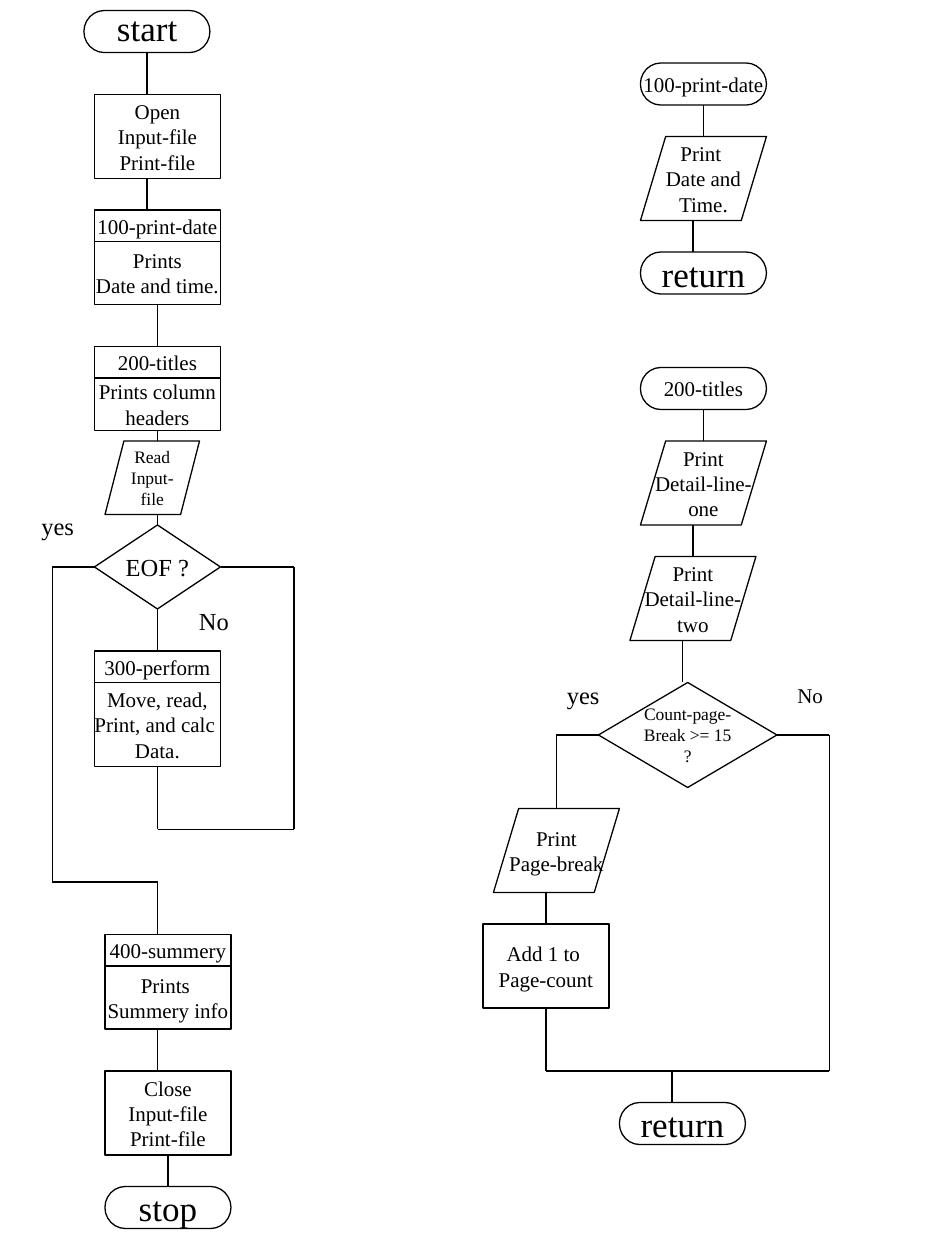
from itertools import pairwise

from pptx import Presentation
from pptx.dml.color import RGBColor
from pptx.enum.shapes import MSO_CONNECTOR, MSO_SHAPE
from pptx.enum.text import MSO_ANCHOR, MSO_AUTO_SIZE, PP_ALIGN
from pptx.oxml.ns import qn
from pptx.util import Inches, Pt
from lxml.etree import SubElement

INK, PAPER = "000000", "FFFFFF"
GRID = Inches(1) // 12  # every step and line sits on a grid of twelfths of an inch


def color(hex_value):
    return RGBColor.from_string(hex_value)


def write_lines(frame, lines, size, align):
    frame.word_wrap = False
    for number, line in enumerate(lines):
        paragraph = frame.add_paragraph() if number else frame.paragraphs[0]
        paragraph.alignment = align
        run = paragraph.add_run()
        run.text = line
        run.font.name = "Times New Roman"
        run.font.size = Pt(size)
        run.font.color.rgb = color(INK)


prs = Presentation()
prs.slide_width, prs.slide_height = Inches(7.5), Inches(10)
slide = prs.slides.add_slide(prs.slide_layouts[6])

TERMINAL = MSO_SHAPE.FLOWCHART_TERMINATOR
PROCESS = MSO_SHAPE.FLOWCHART_PROCESS
DECISION = MSO_SHAPE.FLOWCHART_DECISION
DATA = MSO_SHAPE.FLOWCHART_DATA

# kind, left, top, width, height (grid units), text size, lines
steps = [
    # Main program
    (TERMINAL, 8, 1, 12, 4, 20, []),
    (PROCESS, 9, 9, 12, 8, 12, ["Open", "Input-file", "Print-file"]),
    (PROCESS, 9, 20, 12, 3, 12, ["100-print-date"]),
    (PROCESS, 9, 23, 12, 6, 12, ["Prints", "Date and time."]),
    (PROCESS, 9, 33, 12, 3, 12, ["200-titles"]),
    (PROCESS, 9, 36, 12, 5, 12, ["Prints column", "headers"]),
    (DATA, 10, 42, 9, 7, 10, ["Read", "Input-", "file"]),
    (DECISION, 9, 50, 12, 8, 14, ["EOF ?"]),
    (PROCESS, 9, 62, 12, 3, 12, ["300-perform"]),
    (PROCESS, 9, 65, 12, 8, 12, ["Move, read,", "Print, and calc ", "Data."]),
    (PROCESS, 10, 89, 12, 3, 12, ["400-summery"]),
    (PROCESS, 10, 92, 12, 6, 12, ["Prints ", "Summery info"]),
    (PROCESS, 10, 102, 12, 8, 12, ["Close", "Input-file", "Print-file"]),
    (TERMINAL, 10, 113, 12, 4, 20, ["stop"]),
    # 100-print-date
    (TERMINAL, 61, 6, 12, 4, 12, ["100-print-date"]),
    (DATA, 61, 13, 12, 8, 12, ["Print ", "Date and", "Time."]),
    (TERMINAL, 61, 24, 12, 4, 20, ["return"]),
    # 200-titles
    (TERMINAL, 61, 35, 12, 4, 12, ["200-titles"]),
    (DATA, 61, 42, 12, 8, 12, ["Print", "Detail-line-", "one"]),
    (DATA, 60, 53, 12, 8, 12, ["Print", "Detail-line-", "two"]),
    (DECISION, 57, 65, 17, 10, 10, ["Count-page-", "Break >= 15", "?"]),
    (DATA, 47, 77, 12, 8, 12, ["Print", "Page-break"]),
    (PROCESS, 46, 88, 12, 8, 12, ["Add 1 to ", "Page-count"]),
    (TERMINAL, 59, 105, 12, 4, 20, ["return"]),
]

side_middles = {}  # grid point -> (step, connection site)
for kind, left, top, width, height, size, lines in steps:
    step = slide.shapes.add_shape(
        kind, left * GRID, top * GRID, width * GRID, height * GRID)
    step.shadow.inherit = False
    step.fill.solid()
    step.fill.fore_color.rgb = color(PAPER)
    step.line.color.rgb = color(INK)
    step.line.width = Pt(0.75)
    step.text_frame.vertical_anchor = MSO_ANCHOR.MIDDLE
    write_lines(step.text_frame, lines, size, PP_ALIGN.CENTER)
    if kind != DATA:
        center, middle = left + width / 2, top + height / 2
        points = [(center, top), (left, middle),
                  (center, top + height), (left + width, middle)]
        for site, point in enumerate(points):
            side_middles[point] = (step, site)

# Each route is a chain of straight lines through grid points
routes = [
    # Main program
    [(14, 5), (14, 9)],
    [(14, 17), (14, 20)],
    [(15, 29), (15, 33)],
    [(15, 41), (15, 42)],
    [(15, 49), (15, 50)],
    [(15, 58), (15, 62)],
    [(15, 73), (15, 79), (28, 79), (28, 54), (21, 54)],
    [(9, 54), (5, 54), (5, 84), (15, 84), (15, 89)],
    [(15, 98), (15, 102)],
    [(16, 110), (16, 113)],
    # 100-print-date
    [(67, 10), (67, 13)],
    [(66, 21), (66, 24)],
    # 200-titles
    [(67, 39), (67, 42)],
    [(66, 50), (66, 53)],
    [(65, 61), (65, 65)],
    [(57, 70), (53, 70), (53, 77)],
    [(52, 85), (52, 88)],
    [(52, 96), (52, 102), (64, 102), (64, 105)],
    [(74, 70), (79, 70), (79, 102), (63, 102)],
]

for route in routes:
    for start, end in pairwise(route):
        flow = slide.shapes.add_connector(
            MSO_CONNECTOR.STRAIGHT, *(n * GRID for n in start + end))
        flow.line.color.rgb = color(INK)
        flow.line.width = Pt(0.75)
        SubElement(flow._element.spPr, qn("a:effectLst"))
        if start in side_middles:
            flow.begin_connect(*side_middles[start])
        if end in side_middles:
            flow.end_connect(*side_middles[end])

# left, top, width, height (inches), text size, label
labels = [
    (0.83, 0, 0.68, 0.44, 20, "start"),
    (0.23, 4.01, 0.46, 0.34, 14, "yes"),
    (1.48, 4.76, 0.44, 0.34, 14, "No"),
    (4.4, 5.35, 0.46, 0.34, 14, "yes"),
    (6.23, 5.37, 0.42, 0.3, 12, "No"),
]

for *box, size, label in labels:
    caption = slide.shapes.add_textbox(*(Inches(n) for n in box))
    write_lines(caption.text_frame, [label], size, PP_ALIGN.LEFT)
    caption.text_frame.auto_size = MSO_AUTO_SIZE.SHAPE_TO_FIT_TEXT

prs.save("out.pptx")
